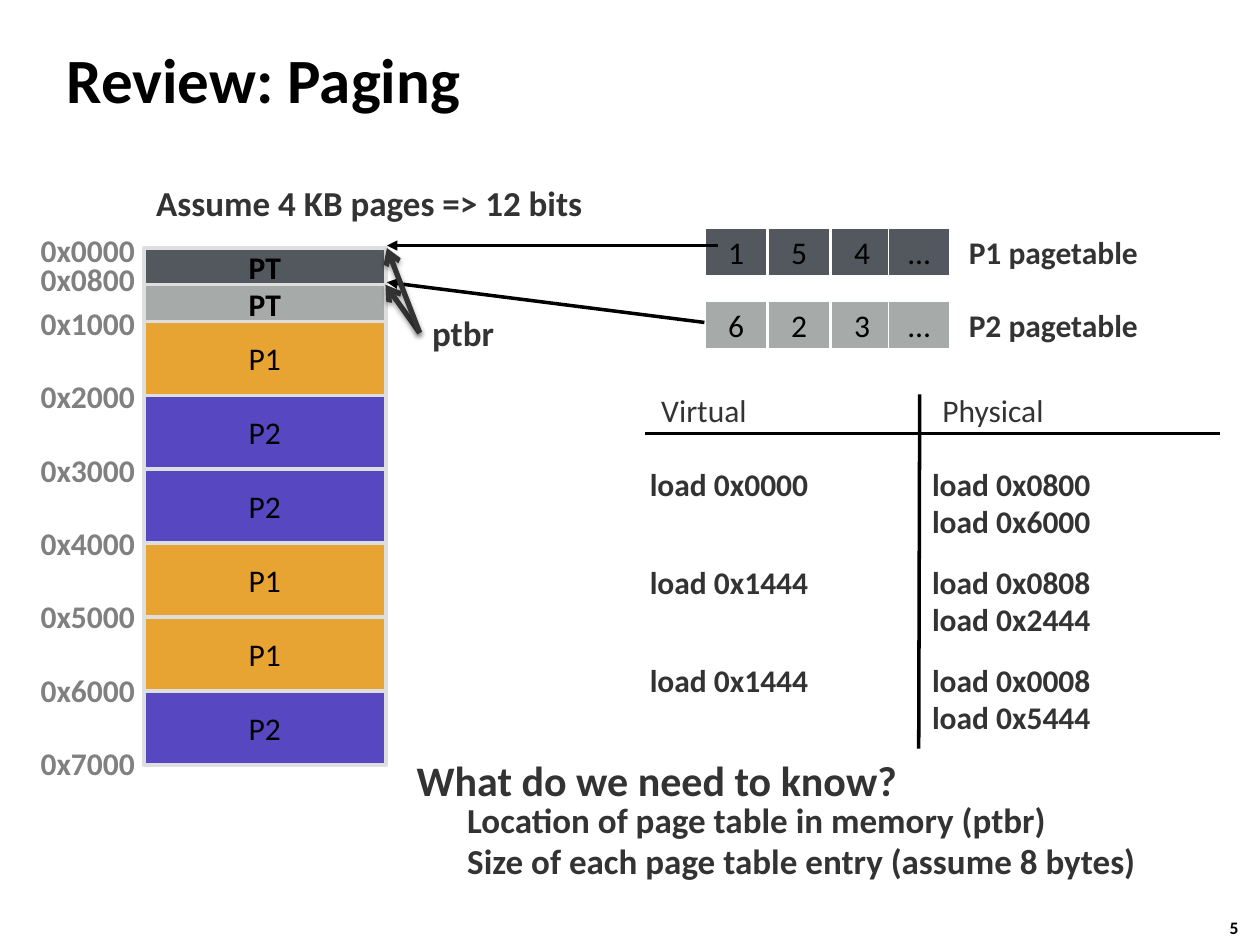
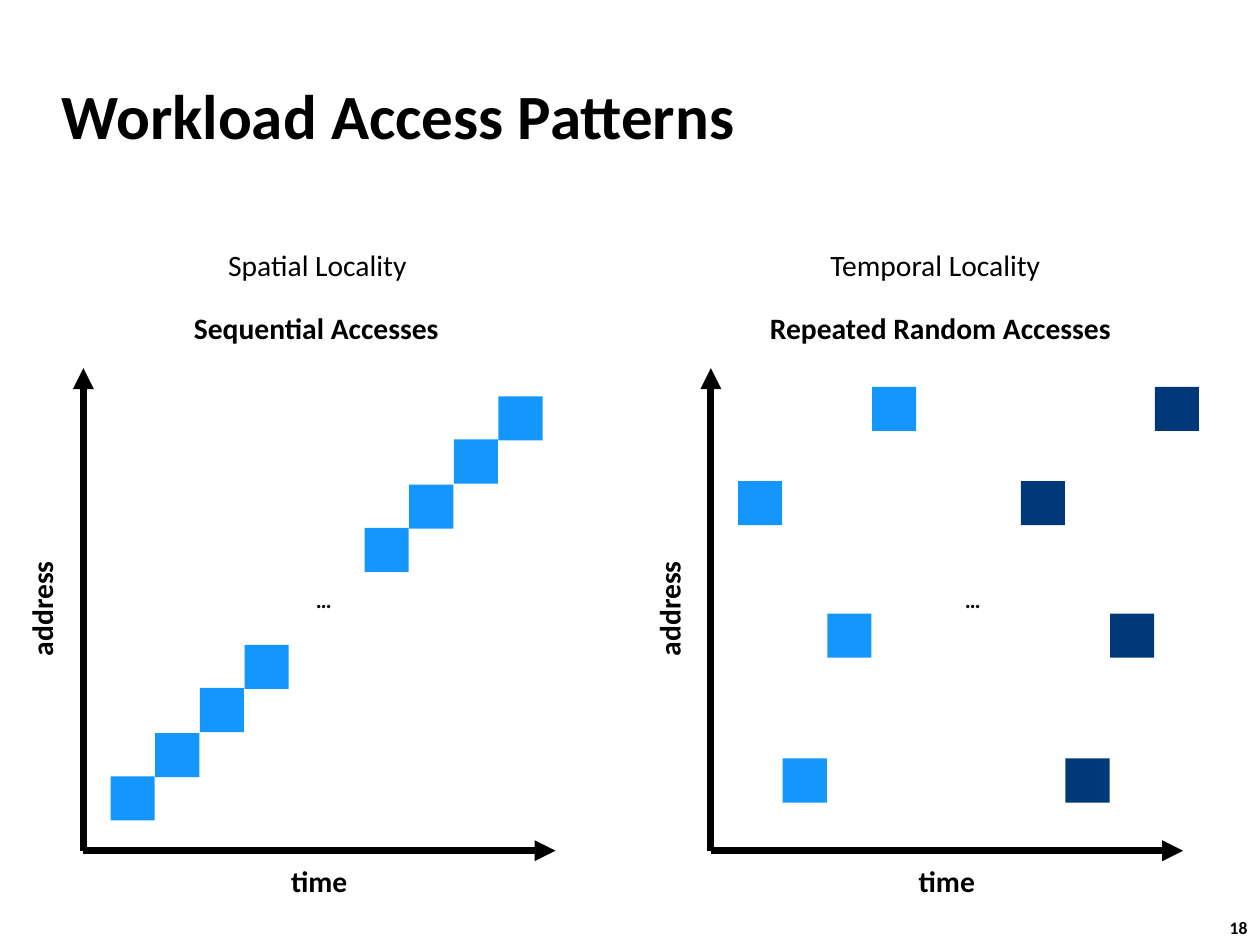
from dataclasses import dataclass

from lxml import etree
from pptx import Presentation
from pptx import util as u
from pptx.dml.color import RGBColor
from pptx.enum import shapes, text
from pptx.oxml.ns import qn

FONT = "Calibri"
COLORS = {
    "black": "000000", "white": "FFFFFF", "ink": "333333", "address": "808080",
    "border": "DCDEE0", "P1": "E8A433", "P2": "5747C1",
    "PT1": "53585F", "PT2": "A6AAA8", "access": "1497FC", "repeat": "00397A",
}
LEFT, CENTER, RIGHT = text.PP_ALIGN.LEFT, text.PP_ALIGN.CENTER, text.PP_ALIGN.RIGHT
TOP, MIDDLE = text.MSO_ANCHOR.TOP, text.MSO_ANCHOR.MIDDLE


@dataclass
class Label:
    text: str
    x: float
    y: float
    w: float
    h: float = 0.97
    size: float = 18
    color: str = "ink"
    bold: bool = True
    align: int = LEFT
    tight: bool = True
    wrap: bool = False
    rotation: float = 0


@dataclass
class Box:
    x: float
    y: float
    w: float
    h: float
    fill: str
    text: str = ""
    border: str = ""
    border_pt: float = 2
    bold: bool = False
    anchor: int = MIDDLE


@dataclass
class Line:
    x1: float
    y1: float
    x2: float
    y2: float
    color: str = "black"
    width: float = 2
    head: str = ""
    shadow: bool = False


def rgb(name: str) -> RGBColor:
    return RGBColor.from_string(COLORS[name])


def write(tf, content: str, size: float, color: str, bold: bool, align) -> None:
    tf.text = content
    p = tf.paragraphs[0]
    p.alignment = align
    for r in p.runs:
        r.font.name = FONT
        r.font.size = u.Pt(size)
        r.font.bold = bold
        r.font.color.rgb = rgb(color)


def set_margins(tf, side: float, vertical: float) -> None:
    tf.margin_left = tf.margin_right = u.Cm(side)
    tf.margin_top = tf.margin_bottom = u.Cm(vertical)


def add_label(s, label: Label) -> None:
    sp = s.shapes.add_textbox(u.Cm(label.x), u.Cm(label.y), u.Cm(label.w), u.Cm(label.h))
    sp.rotation = label.rotation
    tf = sp.text_frame
    tf.word_wrap = label.wrap
    tf.vertical_anchor = MIDDLE if label.tight else TOP
    if label.tight:
        set_margins(tf, 0.1, 0.1)
    write(tf, label.text, label.size, label.color, label.bold, label.align)


def add_box(s, box: Box) -> None:
    sp = s.shapes.add_shape(shapes.MSO_SHAPE.RECTANGLE, u.Cm(box.x), u.Cm(box.y),
                            u.Cm(box.w), u.Cm(box.h))
    sp.shadow.inherit = False
    sp.fill.solid()
    sp.fill.fore_color.rgb = rgb(box.fill)
    if box.border:
        sp.line.color.rgb = rgb(box.border)
        sp.line.width = u.Pt(box.border_pt)
    else:
        sp.line.fill.background()
    if box.text:
        tf = sp.text_frame
        set_margins(tf, 0, 0)
        tf.vertical_anchor = box.anchor
        write(tf, box.text, 18, "black", box.bold, CENTER)


def add_line(s, line: Line) -> None:
    c = s.shapes.add_connector(shapes.MSO_CONNECTOR.STRAIGHT, u.Cm(line.x1), u.Cm(line.y1),
                               u.Cm(line.x2), u.Cm(line.y2))
    c.line.color.rgb = rgb(line.color)
    c.line.width = u.Pt(line.width)
    sp_pr = c._element.spPr
    if line.head:
        etree.SubElement(sp_pr.find(qn("a:ln")), qn("a:tailEnd"), type=line.head)
    effects = etree.SubElement(sp_pr, qn("a:effectLst"))
    if line.shadow:
        outer = etree.SubElement(effects, qn("a:outerShdw"), blurRad=str(u.Pt(3.1)),
                                 dist=str(u.Pt(1.6)), dir="5400000", rotWithShape="0")
        color = etree.SubElement(outer, qn("a:srgbClr"), val=COLORS["black"])
        etree.SubElement(color, qn("a:alpha"), val="38000")


def new_slide(prs, title: str, x: float, y: float, number: int):
    s = prs.slides.add_slide(prs.slide_layouts[5])
    sp = s.shapes.title
    sp.left, sp.top, sp.width, sp.height = u.Cm(x), u.Cm(y), u.Cm(21.08), u.Cm(2.11)
    tf = sp.text_frame
    tf.auto_size = text.MSO_AUTO_SIZE.NONE
    tf.vertical_anchor = MIDDLE
    write(tf, title, 36, "black", True, LEFT)
    add_label(s, Label(str(number), 24.54, 18.36, 0.94, 0.69, size=10, color="black",
                       tight=False, wrap=True))
    return s


def add_memory(s) -> None:
    x, w, frame_h = 2.9, 4.88, 1.49
    for y, h, fill in ((5.0, 0.97, "PT1"), (5.74, 0.74, "PT2")):
        add_box(s, Box(x, y, w, h, fill, "PT", "border", bold=True, anchor=TOP))
    for i, owner in enumerate(("P1", "P2", "P2", "P1", "P1", "P2")):
        add_box(s, Box(x, 6.48 + i * frame_h, w, frame_h, owner, owner, "border"))
    addresses = [("0x0000", 4.55), ("0x0800", 5.13)]
    addresses += [(f"0x{i + 1}000", 6.02 + i * 1.48) for i in range(7)]
    for address, y in addresses:
        add_label(s, Label(address, 0.71, y, 2.11, color="address", align=RIGHT))


def add_page_tables(s) -> None:
    tables = (("P1", "154…", 4.6, "PT1"), ("P2", "623…", 6.07, "PT2"))
    for process, entries, y, fill in tables:
        for entry, x in zip(entries, (14.22, 15.49, 16.76, 17.91)):
            add_box(s, Box(x, y, 1.24, 0.97, fill, entry, "white", 1))
        add_label(s, Label(f"{process} pagetable", 19.43, y, 3.63))


def add_translations(s) -> None:
    add_line(s, Line(18.52, 15.09, 18.54, 7.95))
    add_line(s, Line(24.59, 8.74, 13.0, 8.74))
    for heading, x in (("Virtual", 13.23), ("Physical", 18.9)):
        add_label(s, Label(heading, x, 7.77, 5.28, bold=False, wrap=True))
    loads = (("0x0000", "0x0800", "0x6000"), ("0x1444", "0x0808", "0x2444"),
             ("0x1444", "0x0008", "0x5444"))
    for i, (virtual, entry, physical) in enumerate(loads):
        y = 9.27 + i * 1.98
        for address, x, dy in ((virtual, 13.0, 0), (entry, 18.69, 0), (physical, 18.69, 0.74)):
            add_label(s, Label(f"load {address}", x, y + dy, 6.07, wrap=True))


def paging_slide(prs) -> None:
    s = new_slide(prs, "Review: Paging", 1.09, 0.53, 5)
    add_memory(s)
    add_page_tables(s)
    add_translations(s)
    notes = (
        ("Assume 4 KB pages => 12 bits", 2.9, 3.53, 9.19, 20),
        ("ptbr", 8.46, 6.15, 1.78, 20),
        ("What do we need to know?", 8.15, 15.09, 10.29, 24),
        ("Location of page table in memory (ptbr)", 9.17, 15.98, 12.29, 20),
        ("Size of each page table entry (assume 8 bytes)", 9.17, 16.79, 14.1, 20),
    )
    for content, x, y, w, size in notes:
        add_label(s, Label(content, x, y, w, 1.12, size=size, tight=False))
    add_line(s, Line(14.48, 4.95, 7.8, 4.95, head="triangle"))
    add_line(s, Line(14.2, 6.5, 7.8, 5.69, head="triangle"))
    for x, y in ((7.77, 5.74), (7.8, 5.0)):
        add_line(s, Line(8.46, 6.71, x, y, "ink", 3, "arrow", True))


def add_axes(s, dx: float) -> None:
    x, y = 1.68 + dx, 17.15
    for x2, y2 in ((x + 9.52, y), (x, 7.42)):
        add_line(s, Line(x, y, x2, y2, width=4, head="triangle"))
    add_label(s, Label("time", 5.77 + dx, 17.3, 1.35, 0.91, 16.9, "black"))
    add_label(s, Label("address", -0.23 + dx, 11.81, 2.13, 0.91, 16.9, "black", rotation=270))


def add_accesses(s, x: float, tops, fill: str) -> None:
    for i, y in enumerate(tops):
        add_box(s, Box(x + i * 0.9, y, 0.89, 0.89, fill))


def patterns_slide(prs) -> None:
    s = new_slide(prs, "Workload Access Patterns", 0.99, 1.24, 18)
    for dx in (0, 12.65):
        add_axes(s, dx)
    headings = (
        ("Spatial Locality", 4.5, 4.88, 3.84, False),
        ("Sequential Accesses", 3.81, 6.15, 5.18, True),
        ("Temporal Locality", 16.64, 4.88, 4.47, False),
        ("Repeated Random Accesses", 15.42, 6.15, 7.14, True),
    )
    for content, x, y, w, bold in headings:
        add_label(s, Label(content, x, y, w, 0.91, 16.9, "black", bold))
    for x in (6.27, 19.35):
        add_label(s, Label("…", x, 11.71, 0.53, 0.74, 12.7, "black"))
    sequential = (15.65, 14.78, 13.87, 13.0)
    add_accesses(s, 2.23, sequential, "access")
    add_accesses(s, 7.35, [y - 5.01 for y in sequential], "access")
    for x, fill in ((14.88, "access"), (20.58, "repeat")):
        add_accesses(s, x, (9.7, 15.29, 12.37, 7.8), fill)


def main() -> None:
    """Build the paging review and access pattern slides."""
    prs = Presentation()
    prs.slide_width, prs.slide_height = u.Cm(25.4), u.Cm(19.05)
    paging_slide(prs)
    patterns_slide(prs)
    prs.save("out.pptx")


if __name__ == "__main__":
    main()
